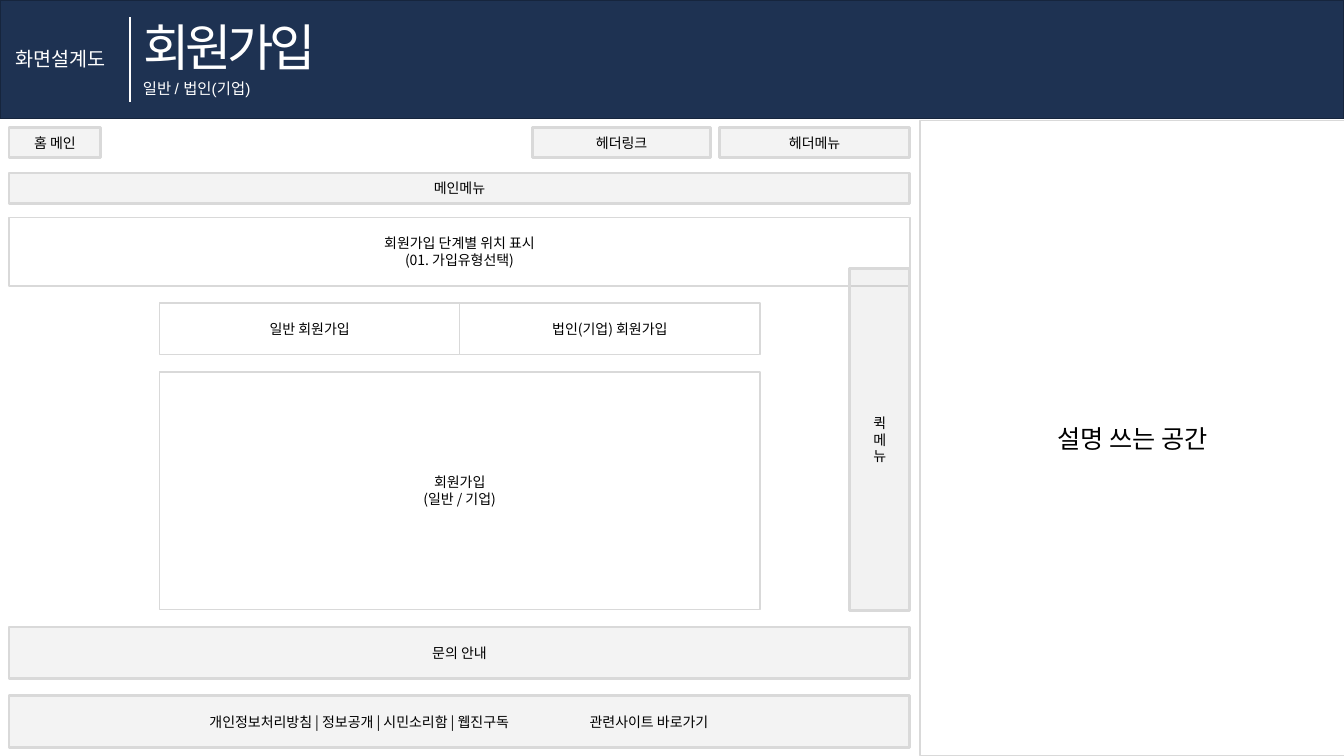
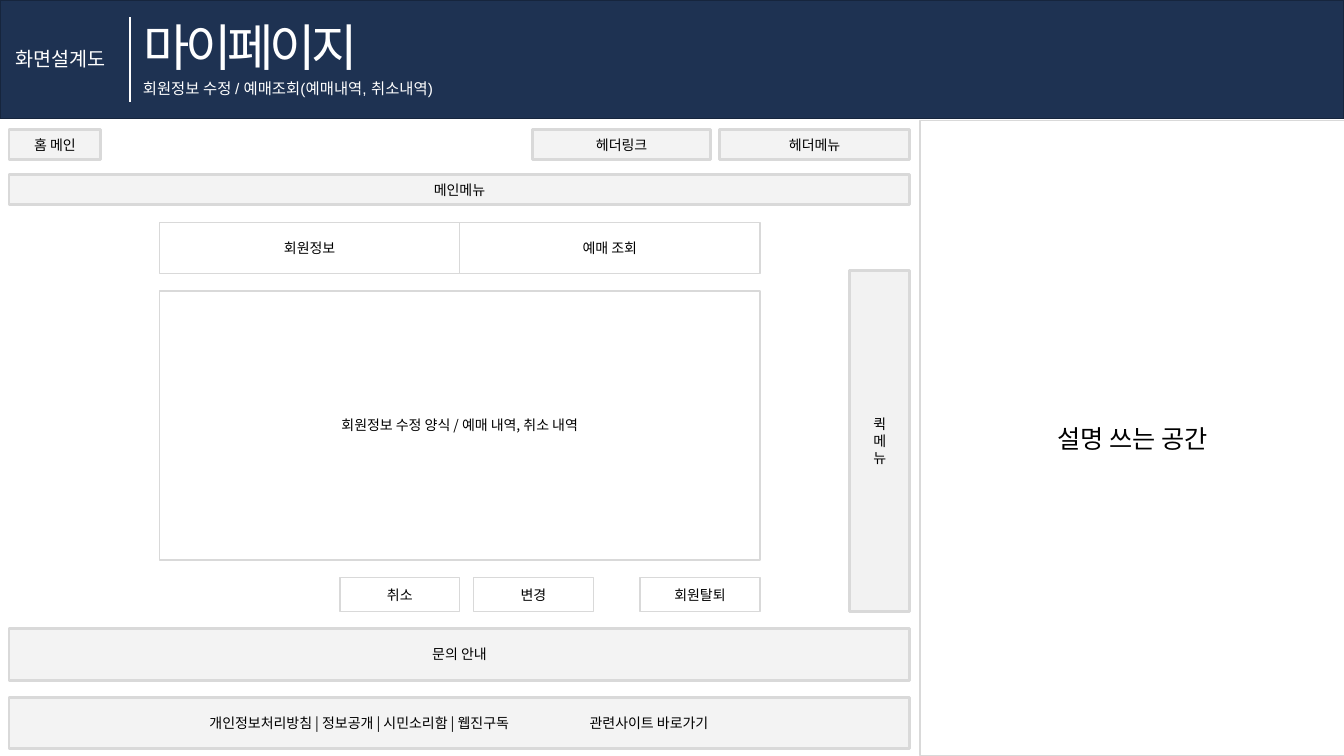
from dataclasses import dataclass

from lxml.etree import SubElement
from pptx import Presentation
from pptx.dml.color import RGBColor
from pptx.enum.shapes import MSO_CONNECTOR, MSO_SHAPE
from pptx.enum.text import MSO_ANCHOR, MSO_AUTO_SIZE, PP_ALIGN
from pptx.oxml.ns import qn
from pptx.util import Cm, Pt

NAVY = RGBColor(0x1E, 0x32, 0x52)
DARK_NAVY = RGBColor(0x16, 0x25, 0x3D)
WHITE = RGBColor(0xFF, 0xFF, 0xFF)
BLACK = RGBColor(0x00, 0x00, 0x00)
LIGHT_GRAY = RGBColor(0xD9, 0xD9, 0xD9)
MID_GRAY = RGBColor(0xBF, 0xBF, 0xBF)

KOREAN_FONT = "Noto Sans CJK KR"
LATIN_FONT = "Arial"

SLIDE_WIDTH, SLIDE_HEIGHT = 33.87, 19.05
BAND_HEIGHT = 2.99
ROW_HEIGHT = 0.76
BLOCK_HEIGHT = 1.3
BLOCK_GAP = 0.43


@dataclass
class Box:
    """A rectangle in centimetres."""
    left: float
    top: float
    width: float
    height: float

    def inner(self, left, top, width, height):
        return Box(self.left + left, self.top + top, width, height)

    def lengths(self):
        return [Cm(value) for value in (self.left, self.top, self.width, self.height)]


def write(frame, text, size, color, font_name=KOREAN_FONT,
          align=PP_ALIGN.LEFT, anchor=MSO_ANCHOR.MIDDLE):
    frame.text = text
    frame.word_wrap = True
    frame.auto_size = MSO_AUTO_SIZE.NONE
    frame.vertical_anchor = anchor
    for para in frame.paragraphs:
        para.alignment = align
        font = para.font
        font.size = Pt(size)
        font.color.rgb = color
        font.name = font_name
        SubElement(font._element, qn("a:ea"), typeface=KOREAN_FONT)


def add_text(page, box, text, size, color, **style):
    label = page.shapes.add_textbox(*box.lengths())
    write(label.text_frame, text, size, color, **style)


def add_panel(page, box, text="", fill=WHITE, opacity=100, line=LIGHT_GRAY,
              line_width=1, size=10):
    panel = page.shapes.add_shape(MSO_SHAPE.RECTANGLE, *box.lengths())
    panel.shadow.inherit = False
    panel.fill.solid()
    panel.fill.fore_color.rgb = fill
    if opacity < 100:
        color = panel.fill._xPr.find(qn("a:solidFill"))[0]
        SubElement(color, qn("a:alpha"), val=str(opacity * 1000))
    panel.line.color.rgb = line
    panel.line.width = Pt(line_width)
    if text:
        write(panel.text_frame, text, size, BLACK, align=PP_ALIGN.CENTER)
    return panel


def add_gray_panel(page, box, text="", fill=LIGHT_GRAY, opacity=30):
    add_panel(page, box, text, fill, opacity, line_width=2)


def add_title_band(page, box, title_text, title_width, subtitle, subtitle_width):
    band = add_panel(page, box, fill=NAVY, line=DARK_NAVY)
    title = page.shapes.title
    title.element.addprevious(band.element)
    title.left, title.top, title.width, title.height = box.inner(
        3.35, 0.28, title_width, 1.8).lengths()
    write(title.text_frame, title_text, 36, WHITE)
    for para in title.text_frame.paragraphs:
        para.font._element.set("spc", "-300")

    add_text(page, box.inner(0.13, 1.05, 3, 0.86), "화면설계도", 14, WHITE)
    divider_left = Cm(box.left + 3.28)
    divider = page.shapes.add_connector(
        MSO_CONNECTOR.STRAIGHT, divider_left, Cm(box.top + 0.43),
        divider_left, Cm(box.top + 2.57))
    divider.line.color.rgb = WHITE
    divider.line.width = Pt(1.5)
    SubElement(divider.element.spPr, qn("a:effectLst"))
    add_text(page, box.inner(3.35, 1.88, subtitle_width, 0.74), subtitle, 11, WHITE,
             font_name=LATIN_FONT, anchor=MSO_ANCHOR.TOP)


def add_header(page, box):
    menu_width, link_width, gap = 4.8, 4.47, 0.23
    menu_left = box.width - menu_width
    link_left = menu_left - gap - link_width
    for left, width, text in ((0, 2.31, "홈 메인"),
                              (link_left, link_width, "헤더링크"),
                              (menu_left, menu_width, "헤더메뉴")):
        add_gray_panel(page, box.inner(left, 0, width, ROW_HEIGHT), text)
    add_gray_panel(page, box.inner(0, 1.14, box.width, ROW_HEIGHT), "메인메뉴")


def add_footer(page, box):
    add_gray_panel(page, box.inner(0, 0, box.width, BLOCK_HEIGHT), "문의 안내")
    links = box.inner(0, BLOCK_HEIGHT + BLOCK_GAP, box.width, BLOCK_HEIGHT)
    add_gray_panel(page, links)
    for left, width, text in ((4.8, 9, "개인정보처리방침 | 정보공개 | 시민소리함 | 웹진구독"),
                              (14.38, 4, "관련사이트 바로가기")):
        add_text(page, links.inner(left, 0, width, links.height), text, 10, BLACK)


def add_quick_menu(page, box):
    add_gray_panel(page, box, "퀵\n메\n뉴", MID_GRAY, 20)


def add_tabbed_form(page, box, tabs, form_text):
    """Equal tabs across the top, with the form filling the rest of the box."""
    tab_width = box.width / len(tabs)
    for index, text in enumerate(tabs):
        add_panel(page, box.inner(index * tab_width, 0, tab_width, BLOCK_HEIGHT), text)
    form_top = BLOCK_HEIGHT + BLOCK_GAP
    add_panel(page, box.inner(0, form_top, box.width, box.height - form_top), form_text)


def add_form_buttons(page, box):
    width, gap = 3.02, 0.35
    cancel_left = box.width / 2 - width
    for left, text in ((cancel_left, "취소"),
                       (cancel_left + width + gap, "변경"),
                       (box.width - width, "회원탈퇴")):
        add_panel(page, box.inner(left, 0, width, box.height), text)


def add_screen_page(deck, screen_top, **heading):
    """Start a page with its band and notes; return it with the wireframe's box."""
    page = deck.slides.add_slide(deck.slide_layouts[5])
    add_title_band(page, Box(0, 0, SLIDE_WIDTH, BAND_HEIGHT), **heading)
    add_panel(page, Box(23.19, 3.04, 10.72, 16), "설명 쓰는 공간", size=18)
    screen = Box(0.23, screen_top, 22.7, 15.6)
    add_header(page, screen)
    add_footer(page, screen.inner(0, 12.58, screen.width, 3.03))
    return page, screen


def add_sign_up_page(deck):
    page, screen = add_screen_page(
        deck, 3.22, title_text="회원가입", title_width=5.21,
        subtitle="일반 / 법인(기업)", subtitle_width=3.43)
    add_panel(page, screen.inner(0, 2.26, screen.width, 1.73),
              "회원가입 단계별 위치 표시\n(01. 가입유형선택)")
    add_quick_menu(page, screen.inner(screen.width - 1.52, 3.55, 1.52, 8.61))
    add_tabbed_form(page, screen.inner(3.79, 4.42, 15.13, 7.72),
                    ("일반 회원가입", "법인(기업) 회원가입"), "회원가입\n(일반 / 기업)")


def add_my_page(deck):
    page, screen = add_screen_page(
        deck, 3.26, title_text="마이페이지", title_width=6.4,
        subtitle="회원정보 수정 / 예매조회(예매내역, 취소내역)", subtitle_width=8.46)
    add_quick_menu(page, screen.inner(screen.width - 1.52, 3.55, 1.52, 8.61))
    add_tabbed_form(page, screen.inner(3.79, 2.34, 15.13, 8.51),
                    ("회원정보", "예매 조회"),
                    "회원정보 수정 양식 / 예매 내역, 취소 내역")
    add_form_buttons(page, screen.inner(3.79, 11.29, 15.13, 0.86))


def main():
    deck = Presentation()
    deck.slide_width, deck.slide_height = Cm(SLIDE_WIDTH), Cm(SLIDE_HEIGHT)
    add_sign_up_page(deck)
    add_my_page(deck)
    deck.save("out.pptx")


if __name__ == "__main__":
    main()
